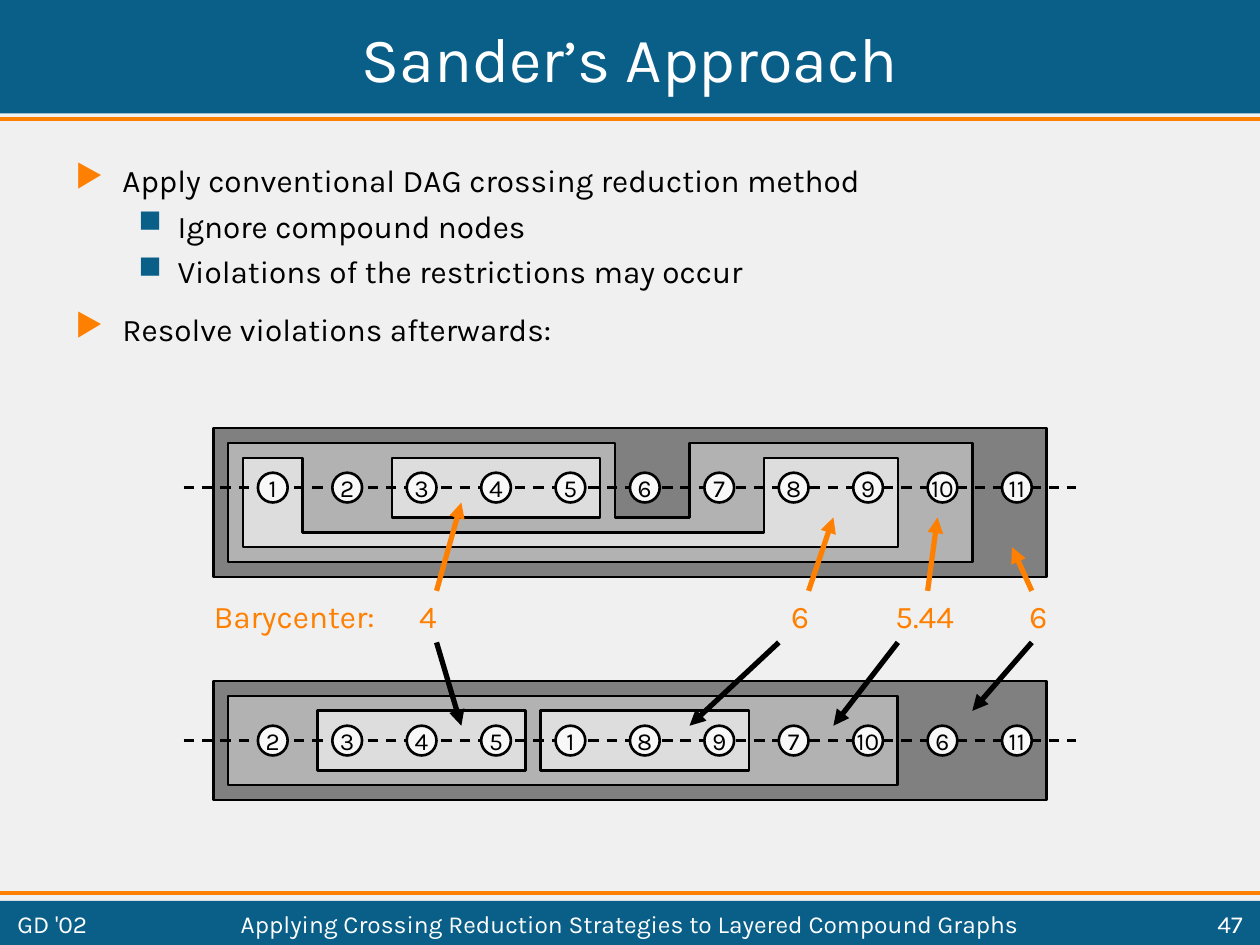
from lxml import etree
from pptx import Presentation
from pptx.dml.color import RGBColor
from pptx.enum import dml, shapes, text
from pptx.oxml import ns
from pptx.util import Cm, Pt

FONT = "Karla"
COLORS = {
    "paper": "F0F0F0", "blue": "0A5F89", "orange": "FF7F00", "white": "FFFFFF",
    "black": "000000", "node": "F8F8F8", "dark": "808080", "middle": "B2B2B2",
    "light": "DDDDDD",
}
WIDTH, HEIGHT = 25.4, 19.05
UPPER_AXIS, LOWER_AXIS = 9.83, 14.93
FIRST_NODE, NODE_STEP, NODE_SIZE = 5.5, 1.5, 0.6
LABEL_TOP, LABEL_BOTTOM = 11.91, 12.95


def color(name):
    """Return the named colour."""
    return RGBColor.from_string(COLORS[name])


def add_child(parent, tag, **attributes):
    """Append a DrawingML element to a parent."""
    return etree.SubElement(parent, ns.qn(tag), attributes)


def style_text(para, size, ink, align=text.PP_ALIGN.LEFT):
    """Format a paragraph and its runs."""
    para.alignment = align
    for span in para.runs:
        span.font.name = FONT
        span.font.size = Pt(size)
        span.font.color.rgb = color(ink)


def style_shape(shape, fill, outlined=True):
    """Give a shape a flat fill and a black outline or none."""
    shape.shadow.inherit = False
    shape.fill.solid()
    shape.fill.fore_color.rgb = color(fill)
    if outlined:
        shape.line.color.rgb = color("black")
        shape.line.width = Pt(1.5)
    else:
        shape.line.fill.background()


def add_rect(parent, left, top, width, height, fill, outlined=True):
    """Add a filled rectangle."""
    rect = parent.shapes.add_shape(
        shapes.MSO_SHAPE.RECTANGLE, Cm(left), Cm(top), Cm(width), Cm(height))
    style_shape(rect, fill, outlined)


def add_outline(parent, points, fill):
    """Add a closed polygon through the given points."""
    corners = [(Cm(x), Cm(y)) for x, y in points]
    builder = parent.shapes.build_freeform(*corners[0])
    builder.add_line_segments(corners[1:], close=True)
    style_shape(builder.convert_to_shape(), fill)


def add_line(parent, start, end, ink, width, dashed=False, arrow=False):
    """Add a straight line, optionally dashed or with an arrowhead."""
    ends = [Cm(value) for value in (*start, *end)]
    line = parent.shapes.add_connector(shapes.MSO_CONNECTOR.STRAIGHT, *ends)
    line.line.color.rgb = color(ink)
    line.line.width = Pt(width)
    if dashed:
        line.line.dash_style = dml.MSO_LINE.DASH
    if arrow:
        add_child(line.line._get_or_add_ln(), "a:tailEnd", type="triangle")
    add_child(line.element.spPr, "a:effectLst")


def add_node(parent, center_x, center_y, label):
    """Add a numbered circle around its centre."""
    node = parent.shapes.add_shape(
        shapes.MSO_SHAPE.OVAL, Cm(center_x - NODE_SIZE / 2),
        Cm(center_y - NODE_SIZE / 2), Cm(NODE_SIZE), Cm(NODE_SIZE))
    style_shape(node, "node")
    frame = node.text_frame
    frame.text = str(label)
    frame.word_wrap = False
    frame.vertical_anchor = text.MSO_ANCHOR.MIDDLE
    style_text(frame.paragraphs[0], 14, "black", text.PP_ALIGN.CENTER)


def add_layer(group, axis, labels):
    """Add the dashed axis and its row of nodes."""
    add_line(group, (3.7, axis), (21.7, axis), "black", 1.5, dashed=True)
    for index, label in enumerate(labels):
        add_node(group, FIRST_NODE + index * NODE_STEP, axis, label)


def add_upper_diagram(page):
    """Add the layer with violated compound nodes."""
    group, axis = page.shapes.add_group_shape(), UPPER_AXIS
    add_rect(group, 4.3, axis - 1.2, 16.8, 3, "dark")
    top, notch, bottom = axis - 0.9, axis + 0.6, axis + 1.5
    add_outline(group, [(12.4, top), (12.4, notch), (13.9, notch), (13.9, top),
                        (19.6, top), (19.6, bottom), (4.6, bottom), (4.6, top)],
                "middle")
    add_rect(group, 7.9, axis - 0.6, 4.2, 1.2, "light")
    top, notch, bottom = axis - 0.6, axis + 0.9, axis + 1.2
    add_outline(group, [(6.1, top), (6.1, notch), (15.4, notch), (15.4, top),
                        (18.1, top), (18.1, bottom), (4.9, bottom), (4.9, top)],
                "light")
    add_layer(group, axis, range(1, 12))


def add_lower_diagram(page):
    """Add the layer with resolved compound nodes."""
    group, axis = page.shapes.add_group_shape(), LOWER_AXIS
    add_rect(group, 4.3, axis - 1.2, 16.8, 2.4, "dark")
    add_rect(group, 4.6, axis - 0.9, 13.5, 1.8, "middle")
    for left in (6.4, 10.9):
        add_rect(group, left, axis - 0.6, 4.2, 1.2, "light")
    add_layer(group, axis, [2, 3, 4, 5, 1, 8, 9, 7, 10, 6, 11])


def add_label(page, left, width, wording):
    """Add an orange barycenter label."""
    box = page.shapes.add_textbox(Cm(left), Cm(LABEL_TOP), Cm(width), Cm(1.02))
    box.text_frame.text = wording
    box.text_frame.word_wrap = False
    box.text_frame.auto_size = text.MSO_AUTO_SIZE.SHAPE_TO_FIT_TEXT
    style_text(box.text_frame.paragraphs[0], 18, "orange")


def add_barycenters(page):
    """Add the labels and the arrows to both diagrams."""
    for left, width, wording in [(4.06, 3.94, "Barycenter:"), (8.2, 0.86, "4"),
                                 (15.7, 0.86, "6"), (17.8, 1.75, "5.44"),
                                 (20.5, 0.86, "6")]:
        add_label(page, left, width, wording)
    for start, end, rise in [(8.8, 9.3, 0.3), (16.3, 16.8, 0.6),
                             (18.7, 18.9, 0.6), (20.8, 20.4, 1.2)]:
        add_line(page, (start, LABEL_TOP), (end, UPPER_AXIS + rise),
                 "orange", 3, arrow=True)
    for start, end, rise in [(8.8, 9.3, 0.3), (15.7, 13.9, 0.3),
                             (18.1, 16.8, 0.3), (20.8, 19.6, 0.6)]:
        add_line(page, (start, LABEL_BOTTOM), (end, LOWER_AXIS - rise),
                 "black", 3, arrow=True)


def add_bullets(page, items):
    """Add the two-level bullet list."""
    levels = [("▶", "orange", 0.95, 0.95, 11.2), ("■", "blue", 2.06, 0.79, 4.5)]
    box = page.shapes.add_textbox(Cm(1.27), Cm(3.12), Cm(22.86), Cm(6.99))
    frame = box.text_frame
    frame.word_wrap = True
    for index, (level, wording) in enumerate(items):
        para = frame.add_paragraph() if index else frame.paragraphs[0]
        para.text = wording
        para.level = level
        mark, ink, margin, hanging, space = levels[level]
        props = para._p.get_or_add_pPr()
        props.set("marL", str(Cm(margin)))
        props.set("indent", str(-Cm(hanging)))
        add_child(add_child(props, "a:buClr"), "a:srgbClr", val=COLORS[ink])
        add_child(props, "a:buChar", char=mark)
        if index:
            para.space_before = Pt(space)
        style_text(para, 18, "black")


def add_bands(page):
    """Add the blue bands with their orange rules."""
    add_rect(page, 0, 0, WIDTH, 2.29, "blue", outlined=False)
    add_rect(page, 0, 18.16, WIDTH, 0.89, "blue", outlined=False)
    for y in (2.39, 18.01):
        add_line(page, (0, y), (WIDTH, y), "orange", 2.25)


def set_title(page, wording):
    """Place and format the title above the bands."""
    title = page.shapes.title
    title.left, title.top, title.width, title.height = Cm(0.1), Cm(0.1), Cm(25.2), Cm(2.1)
    title.text_frame.text = wording
    title.text_frame.vertical_anchor = text.MSO_ANCHOR.MIDDLE
    style_text(title.text_frame.paragraphs[0], 36, "white", text.PP_ALIGN.CENTER)
    title.element.getparent().append(title.element)


def add_footer(page, left, width, wording, align):
    """Add one part of the footer."""
    box = page.shapes.add_textbox(Cm(left), Cm(18.26), Cm(width), Cm(0.71))
    box.text_frame.text = wording
    box.text_frame.word_wrap = True
    box.text_frame.vertical_anchor = text.MSO_ANCHOR.MIDDLE
    style_text(box.text_frame.paragraphs[0], 14, "white", align)


def main():
    """Build the slide and save it."""
    deck = Presentation()
    deck.slide_width, deck.slide_height = Cm(WIDTH), Cm(HEIGHT)
    page = deck.slides.add_slide(deck.slide_layouts.get_by_name("Title Only"))
    page.background.fill.solid()
    page.background.fill.fore_color.rgb = color("paper")
    add_bands(page)
    set_title(page, "Sander’s Approach")
    add_bullets(page, [(0, "Apply conventional DAG crossing reduction method"),
                       (1, "Ignore compound nodes"),
                       (1, "Violations of the restrictions may occur"),
                       (0, "Resolve violations afterwards:")])
    add_upper_diagram(page)
    add_lower_diagram(page)
    add_barycenters(page)
    add_footer(page, 0.1, 3, "GD '02", text.PP_ALIGN.LEFT)
    add_footer(page, 3.3, 18.8, "Applying Crossing Reduction Strategies to "
               "Layered Compound Graphs", text.PP_ALIGN.CENTER)
    add_footer(page, 22.3, 3, "47", text.PP_ALIGN.RIGHT)
    deck.save("out.pptx")


if __name__ == "__main__":
    main()
